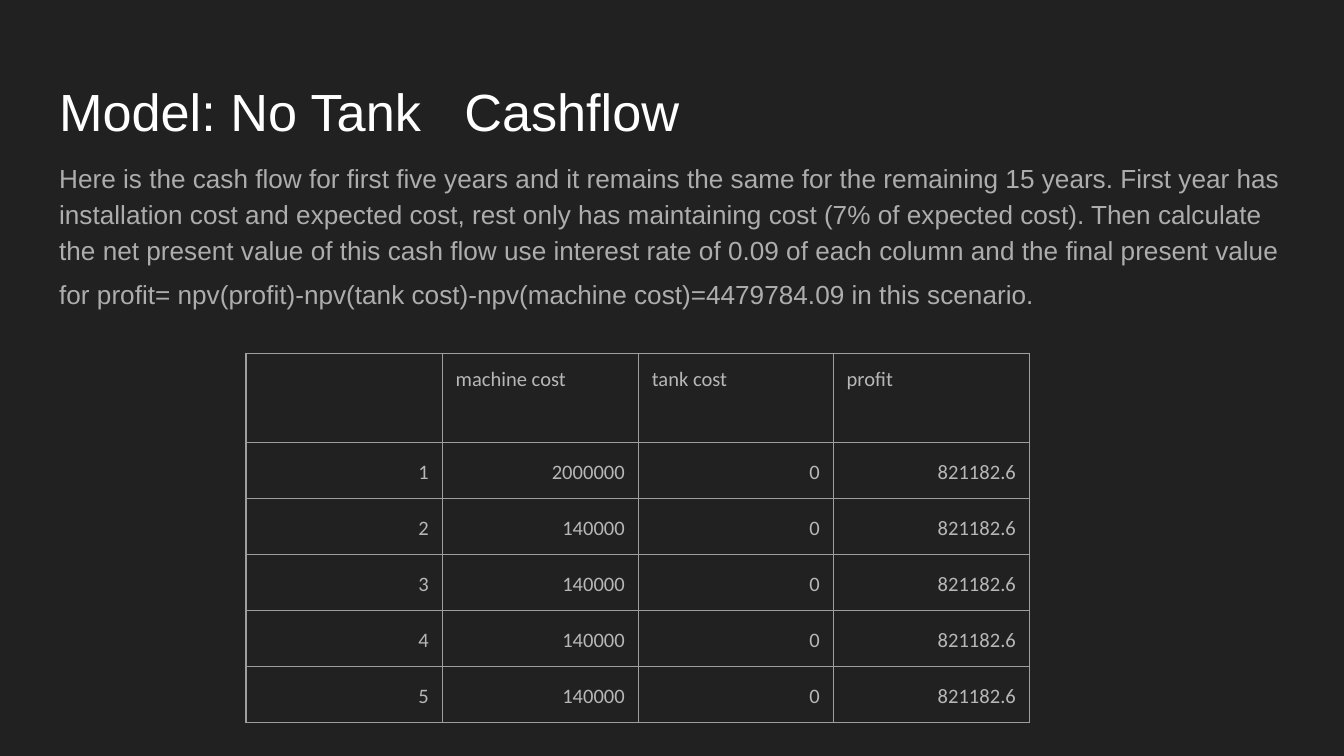
from lxml import etree
from pptx import Presentation
from pptx import util as u
from pptx.dml.color import RGBColor
from pptx.enum import text
from pptx.oxml import ns

BACKGROUND = RGBColor(0x21, 0x21, 0x21)
WHITE = RGBColor(0xFF, 0xFF, 0xFF)
BODY_GREY = RGBColor(0xAD, 0xAD, 0xAD)
CELL_GREY = RGBColor(0xB7, 0xB7, 0xB7)
BORDER_GREY = RGBColor(0x9E, 0x9E, 0x9E)
MARGIN = u.Inches(0.1)

TITLE = "Model: No Tank   Cashflow"
SUMMARY = (
    "Here is the cash flow for first five years and it remains the same for the "
    "remaining 15 years. First year has installation cost and expected cost, rest "
    "only has maintaining cost (7% of expected cost). Then calculate the net present "
    "value of this cash flow use interest rate of 0.09 of each column and the final "
    "present value for profit= npv(profit)-npv(tank cost)-npv(machine cost)=4479784.09 "
    "in this scenario."
)
HEADINGS = ["", "machine cost", "tank cost", "profit"]
COLUMN_WIDTHS = [1.46, 1.46, 1.45, 1.46]
MACHINE_COSTS = [2000000] + [140000] * 4
CASHFLOW = [HEADINGS] + [
    [str(year), str(cost), "0", "821182.6"]
    for year, cost in enumerate(MACHINE_COSTS, 1)
]


def set_font(font, name, size, color):
    font.name = name
    font.size = u.Pt(size)
    font.color.rgb = color


def place_text(box, left, top, width, height):
    box.left, box.top, box.width, box.height = map(u.Inches, (left, top, width, height))
    frame = box.text_frame
    frame.margin_left = frame.margin_right = MARGIN
    frame.margin_top = frame.margin_bottom = MARGIN
    frame.vertical_anchor = text.MSO_ANCHOR.TOP
    frame.word_wrap = True
    frame.auto_size = text.MSO_AUTO_SIZE.NONE
    para = frame.paragraphs[0]
    para.alignment = text.PP_ALIGN.LEFT
    para.space_before = u.Pt(0)
    return para


def add_title(page, left, top, width, height):
    para = place_text(page.shapes.title, left, top, width, height)
    para.text = TITLE
    set_font(para.font, "Arial", 28, WHITE)


def add_summary(page, left, top, width, height):
    para = place_text(page.placeholders[1], left, top, width, height)
    para.line_spacing = 1.15
    para.space_after = u.Pt(16)
    set_font(para.font, "Arial", 14, BODY_GREY)
    para.add_run().text = SUMMARY
    span = para.add_run()
    span.text = " "
    span.font.size = u.Pt(18)
    properties = para._p.get_or_add_pPr()
    properties.set("marL", "0")
    properties.set("indent", "0")
    bullet = etree.Element(ns.qn("a:buNone"))
    properties.find(ns.qn("a:defRPr")).addprevious(bullet)


def add_borders(cell):
    properties = cell._tc.get_or_add_tcPr()
    for side in ("lnL", "lnR", "lnT", "lnB"):
        line = etree.SubElement(properties, ns.qn(f"a:{side}"), w=str(u.Pt(0.75)))
        fill = etree.SubElement(line, ns.qn("a:solidFill"))
        etree.SubElement(fill, ns.qn("a:srgbClr"), val=str(BORDER_GREY))


def format_cell(cell, value, is_heading):
    add_borders(cell)
    cell.fill.background()
    cell.margin_left = cell.margin_right = MARGIN
    cell.margin_top = cell.margin_bottom = MARGIN
    if not value:
        return
    para = cell.text_frame.paragraphs[0]
    para.text = value
    set_font(para.font, "Calibri", 11, CELL_GREY)
    if not is_heading:
        para.alignment = text.PP_ALIGN.RIGHT
        para.line_spacing = 1.15


def add_cashflow(page, left, top, heading_height, row_height):
    width = sum(COLUMN_WIDTHS)
    height = heading_height + row_height * (len(CASHFLOW) - 1)
    table = page.shapes.add_table(
        len(CASHFLOW), len(HEADINGS), *map(u.Inches, (left, top, width, height))
    ).table
    table.first_row = False
    table.horz_banding = False
    for column, column_width in zip(table.columns, COLUMN_WIDTHS):
        column.width = u.Inches(column_width)
    for index, values in enumerate(CASHFLOW):
        table.rows[index].height = u.Inches(row_height if index else heading_height)
        for column, value in enumerate(values):
            format_cell(table.cell(index, column), value, index == 0)


def build_cashflow_page(deck):
    page = deck.slides.add_slide(deck.slide_layouts[1])
    page.background.fill.solid()
    page.background.fill.fore_color.rgb = BACKGROUND
    add_title(page, 0.34, 0.49, 9.32, 0.63)
    add_summary(page, 0.34, 1.07, 9.32, 3.74)
    add_cashflow(page, 1.83, 2.63, 0.66, 0.4)


deck = Presentation()
deck.slide_width = u.Inches(10)
deck.slide_height = deck.slide_width * 9 // 16
build_cashflow_page(deck)
deck.save("out.pptx")
